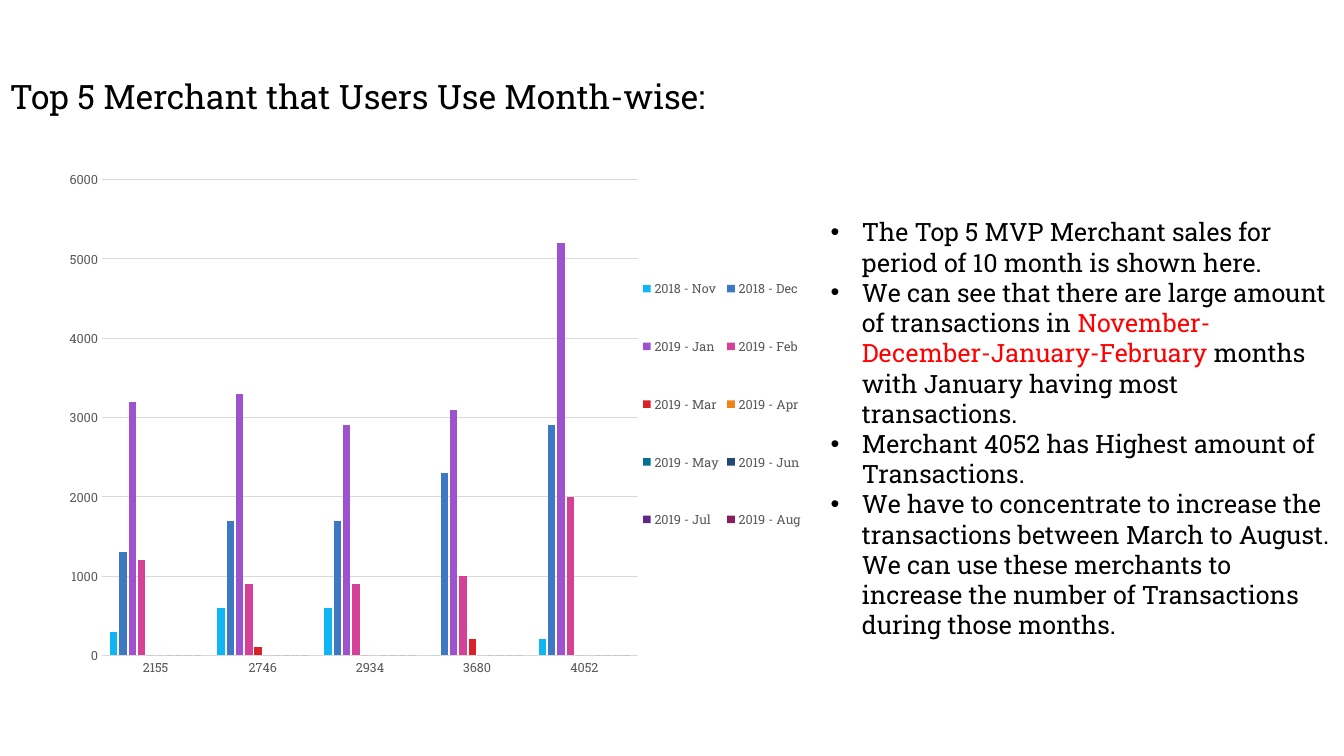
import pptx
import pptx.chart.data
import pptx.dml.color
import pptx.enum.chart
import pptx.oxml
import pptx.oxml.ns
import pptx.util

RGB = pptx.dml.color.RGBColor
BLACK, RED = RGB(0, 0, 0), RGB(0xFF, 0, 0)
GREY, PALE = RGB(0x59, 0x59, 0x59), RGB(0xD9, 0xD9, 0xD9)
FONT = "Roboto Slab"
WIDE, HIGH = pptx.util.Inches(13.33), pptx.util.Inches(7.5)
qn = pptx.oxml.ns.qn

# Boxes are left, top, width and height as shares of the slide.
TITLE_BOX = (0, 0.0933, 1, 0.0667)
CHART_BOX = (0.0218, 0.2, 0.5889, 0.7387)
NOTES_BOX = (0.6107, 0.28, 0.3893, 0.5787)

# Boxes are shares of the chart.
PLOT_BOX = (0.092, 0.051, 0.677, 0.852)
LEGEND_BOX = (0.77, 0.158, 0.21, 0.59)

TITLE = "Top 5 Merchant that Users Use Month-wise:"
SHOPS = ["2155", "2746", "2934", "3680", "4052"]
MONTHS = [
    ("2018 - Nov", [300, 600, 600, 0, 200], RGB(0x10, 0xB6, 0xF4)),
    ("2018 - Dec", [1300, 1700, 1700, 2300, 2900], RGB(0x3C, 0x78, 0xC3)),
    ("2019 - Jan", [3200, 3300, 2900, 3100, 5200], RGB(0x9F, 0x52, 0xD0)),
    ("2019 - Feb", [1200, 900, 900, 1000, 2000], RGB(0xD6, 0x41, 0x98)),
    ("2019 - Mar", [0, 100, 0, 200, 0], RGB(0xDA, 0x22, 0x28)),
    ("2019 - Apr", [0] * 5, RGB(0xF1, 0x83, 0x18)),
    ("2019 - May", [0] * 5, RGB(0x07, 0x6E, 0x95)),
    ("2019 - Jun", [0] * 5, RGB(0x24, 0x48, 0x75)),
    ("2019 - Jul", [0] * 5, RGB(0x62, 0x25, 0x89)),
    ("2019 - Aug", [0] * 5, RGB(0x8A, 0x1E, 0x5D)),
]
NOTES = [
    [("The Top 5 MVP Merchant sales for period of 10 month is shown here.", BLACK)],
    [
        ("We can see that there are large amount of transactions in ", BLACK),
        ("November-December-January-February", RED),
        (" months with January having most transactions.", BLACK),
    ],
    [("Merchant 4052 has Highest amount of Transactions.", BLACK)],
    [("We have to concentrate to increase the transactions between March to "
      "August. We can use these merchants to increase the number of "
      "Transactions during those months.", BLACK)],
]


def place(box):
    return [round(part * size) for part, size in zip(box, (WIDE, HIGH) * 2)]


def assign(item, values):
    for name, value in values.items():
        setattr(item, name, value)


def style(font, size, color):
    assign(font, {"name": FONT, "size": pptx.util.Pt(size)})
    font.color.rgb = color


def stroke(line):
    line.color.rgb = PALE
    line.width = pptx.util.Pt(0.75)


def pin(parent, index, box, inner=False):
    """Give a chart part a fixed box, as shares of the chart."""
    for old in parent.findall(qn("c:layout")):
        parent.remove(old)
    rules = [("layoutTarget", "inner")] if inner else []
    rules += [("xMode", "edge"), ("yMode", "edge")]
    rules += zip("xywh", box)
    body = "".join(f'<c:{tag} val="{value}"/>' for tag, value in rules)
    space = pptx.oxml.ns.nsdecls("c")
    parent.insert(index, pptx.oxml.parse_xml(
        f"<c:layout {space}><c:manualLayout>{body}</c:manualLayout></c:layout>"))


def add_text(slide, box):
    frame = slide.shapes.add_textbox(*place(box)).text_frame
    frame.word_wrap = True
    return frame


def add_run(para, text, size, color):
    run = para.add_run()
    run.text = text
    style(run.font, size, color)


def add_title(slide, box):
    add_run(add_text(slide, box).paragraphs[0], TITLE, 24, BLACK)


def add_notes(slide, box):
    frame = add_text(slide, box)
    dent = pptx.util.Inches(0.31)
    for index, parts in enumerate(NOTES):
        para = frame.add_paragraph() if index else frame.paragraphs[0]
        props = para._p.get_or_add_pPr()
        props.set("marL", str(dent))
        props.set("indent", str(-dent))
        for tag, key, value in (("a:buFont", "typeface", "Arial"),
                                ("a:buChar", "char", "•")):
            props.append(pptx.oxml.parse_xml(
                f'<{tag} {pptx.oxml.ns.nsdecls("a")} {key}="{value}"/>'))
        for text, color in parts:
            add_run(para, text, 18, color)


def add_sales(slide, box):
    data = pptx.chart.data.CategoryChartData()
    data.categories = SHOPS
    for name, values, _ in MONTHS:
        data.add_series(name, values)
    kind = pptx.enum.chart.XL_CHART_TYPE.COLUMN_CLUSTERED
    chart = slide.shapes.add_chart(kind, *place(box), data).chart
    assign(chart, {"has_title": False, "has_legend": True})
    style(chart.font, 10, BLACK)

    plot = chart.plots[0]
    assign(plot, {"gap_width": 219, "overlap": -27, "vary_by_categories": False})
    for series, (_, _, color) in zip(plot.series, MONTHS):
        series.format.fill.solid()
        series.format.fill.fore_color.rgb = color
        series.invert_if_negative = False

    none = pptx.enum.chart.XL_TICK_MARK.NONE
    shops, sales = chart.category_axis, chart.value_axis
    for axis in (shops, sales):
        assign(axis, {"major_tick_mark": none, "minor_tick_mark": none})
        style(axis.tick_labels.font, 9, GREY)
    stroke(shops.format.line)
    sales.format.line.fill.background()
    stroke(sales.major_gridlines.format.line)
    assign(sales, {"minimum_scale": 0, "maximum_scale": 6000, "major_unit": 1000})

    legend = chart.legend
    right = pptx.enum.chart.XL_LEGEND_POSITION.RIGHT
    assign(legend, {"position": right, "include_in_layout": False})
    style(legend.font, 9, GREY)
    area = chart._chartSpace.chart
    pin(area.plotArea, 0, PLOT_BOX, inner=True)
    key = area.find(qn("c:legend"))
    pin(key, 1 if key.find(qn("c:legendPos")) is not None else 0, LEGEND_BOX)


def main():
    deck = pptx.Presentation()
    assign(deck, {"slide_width": WIDE, "slide_height": HIGH})
    slide = deck.slides.add_slide(deck.slide_layouts[6])
    add_sales(slide, CHART_BOX)
    add_title(slide, TITLE_BOX)
    add_notes(slide, NOTES_BOX)
    deck.save("out.pptx")


if __name__ == "__main__":
    main()
